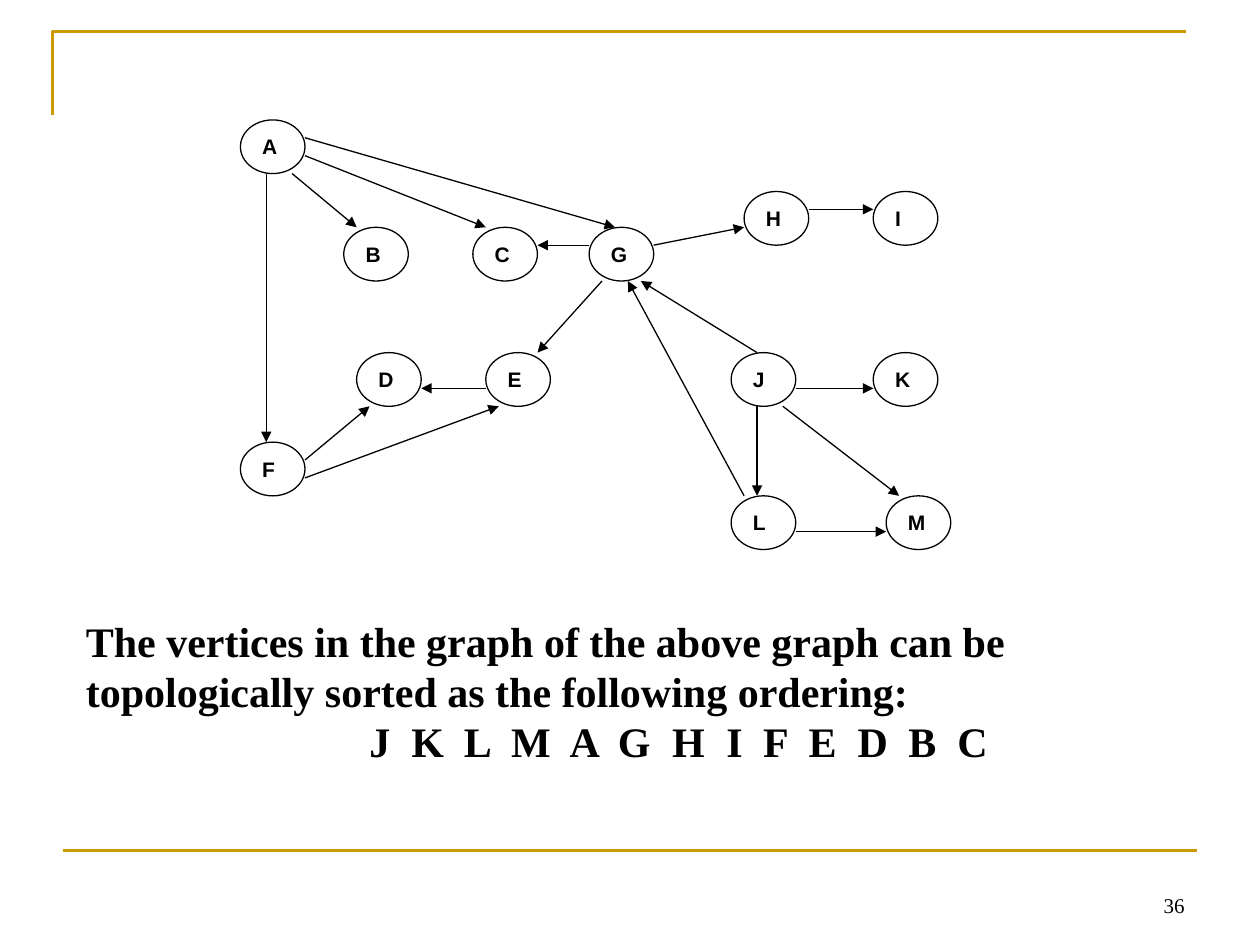
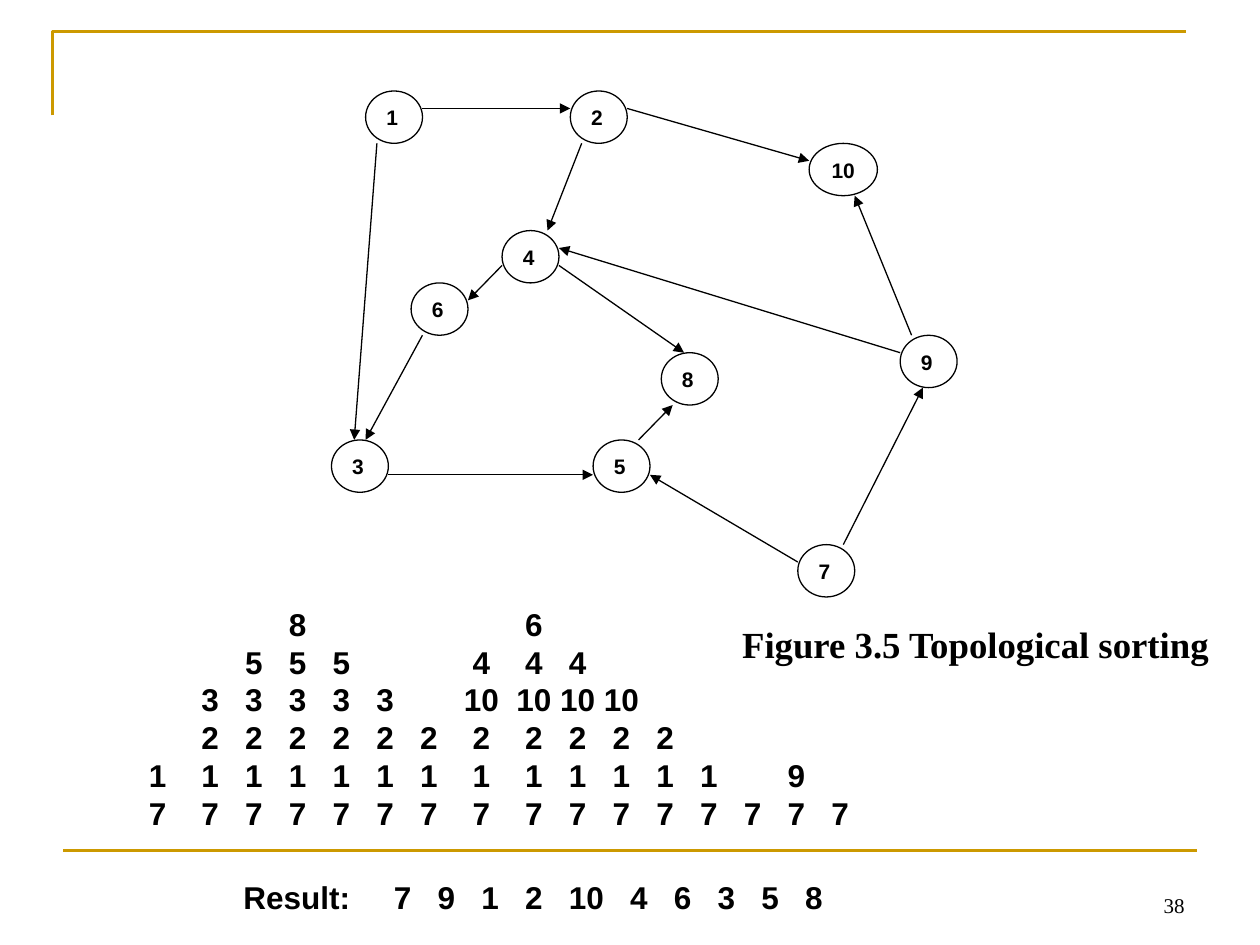
from itertools import zip_longest

from lxml.etree import SubElement
from pptx import Presentation
from pptx.dml.color import RGBColor
from pptx.enum.shapes import MSO_CONNECTOR as CONNECTOR, MSO_SHAPE as SHAPE
from pptx.enum.text import MSO_ANCHOR as ANCHOR, PP_ALIGN as ALIGN
from pptx.oxml.ns import qn
from pptx.util import Pt

BLACK, GOLD = "000000", "CC9900"
SANS, SERIF = "Arial", "Times New Roman"


def paint(target, color, width=None):
    """Colour a font, or a line when a width is given."""
    target.color.rgb = RGBColor.from_string(color)
    if width:
        target.width = Pt(width)


def write(frame, lines, size, name, bold=True, stops=(), stop_align="l"):
    """Fill a text frame, one paragraph a line, with optional tab stops."""
    frame.word_wrap = True
    for number, line in enumerate(lines):
        para = frame.add_paragraph() if number else frame.paragraphs[0]
        para.text = line
        para.alignment = ALIGN.LEFT
        para.font.size, para.font.name, para.font.bold = Pt(size), name, bold
        paint(para.font, BLACK)
        if stops:
            properties = para._p.get_or_add_pPr()
            tabs = SubElement(properties, qn("a:tabLst"))
            properties.insert(0, tabs)
            for stop in stops:
                SubElement(tabs, qn("a:tab"), pos=str(Pt(stop)), algn=stop_align)


# Each graph lies on a grid: origin, cell size, node corners, arrow ends
letter_graph = {
    "origin": (137.4, 68.5), "cell": (7.38, 10.23),
    "nodes": {
        "A": (0, 0), "B": (8, 6), "C": (18, 6), "D": (9, 13), "E": (19, 13),
        "F": (0, 18), "G": (27, 6), "H": (39, 4), "I": (49, 4), "J": (38, 13),
        "K": (49, 13), "L": (38, 21), "M": (50, 21),
    },
    "arrows": [
        (2, 3, 2, 18), (4, 3, 9, 6), (5, 2, 19, 6), (5, 1, 29, 6),       # from A
        (5, 19, 10, 16), (5, 20, 20, 16), (19, 15, 14, 15),              # from F, E
        (28, 9, 23, 13), (27, 7, 23, 7), (32, 7, 39, 6), (44, 5, 49, 5), # from G, H
        (43, 15, 49, 15), (40, 16, 40, 21), (42, 16, 51, 21), (40, 13, 31, 9),
        (39, 21, 30, 9), (43, 23, 50, 23),                               # from L
    ],
}
number_graph = {
    "origin": (189.4, 52), "cell": (6.5, 9.97),
    "nodes": {
        "1": (3, 0), "2": (21, 0), "3": (0, 20), "4": (15, 8), "5": (23, 20),
        "6": (7, 11), "7": (41, 26), "8": (29, 15), "9": (50, 14), "10": (42, 3),
    },
    "arrows": [
        (8, 1, 21, 1), (4, 3, 2, 20), (26, 1, 42, 4), (22, 3, 19, 8),    # from 1, 2
        (15, 10, 12, 12), (20, 10, 31, 15), (8, 14, 3, 20),              # from 4, 6
        (5, 22, 23, 22), (27, 20, 30, 18),                               # from 3, 5
        (41, 27, 28, 22), (45, 26, 52, 17), (50, 15, 20, 9), (51, 14, 46, 6),
    ],
}

deck = Presentation()
deck.slide_width, deck.slide_height = Pt(720), Pt(540)
pages = []

for page_number, graph in (("36", letter_graph), ("38", number_graph)):
    page = deck.slides.add_slide(deck.slide_layouts[6])
    pages.append(page)

    # Gold corner, footer rule and page number
    outline = page.shapes.build_freeform(Pt(30), Pt(66))
    outline.add_line_segments([(Pt(30), Pt(18)), (Pt(678), Pt(18))], close=False)
    corner = outline.convert_to_shape()
    corner.fill.background()
    corner.shadow.inherit = False
    paint(corner.line, GOLD, 1.5)
    rule = page.shapes.add_connector(CONNECTOR.STRAIGHT, Pt(36), Pt(486), Pt(684), Pt(486))
    paint(rule.line, GOLD, 1.5)
    SubElement(rule._element.spPr, qn("a:effectLst"))
    box = page.shapes.add_textbox(Pt(516), Pt(492), Pt(168), Pt(36))
    box.text_frame.vertical_anchor = ANCHOR.BOTTOM
    write(box.text_frame, [page_number], 12, SERIF, bold=False)
    box.text_frame.paragraphs[0].alignment = ALIGN.RIGHT

    # Nodes: five cells wide (six for two digits), three high
    (left, top), (cell_width, cell_height) = graph["origin"], graph["cell"]
    for label, (column, row) in graph["nodes"].items():
        node = page.shapes.add_shape(
            SHAPE.OVAL, Pt(left + column * cell_width), Pt(top + row * cell_height),
            Pt((4 + len(label)) * cell_width), Pt(3 * cell_height))
        node.fill.background()
        node.shadow.inherit = False
        paint(node.line, BLACK, 0.75)
        node.text_frame.vertical_anchor = ANCHOR.TOP
        node.text_frame.margin_right = 0
        write(node.text_frame, [label], 12, SANS)

    # Arrows
    for x1, y1, x2, y2 in graph["arrows"]:
        arrow = page.shapes.add_connector(
            CONNECTOR.STRAIGHT,
            Pt(left + x1 * cell_width), Pt(top + y1 * cell_height),
            Pt(left + x2 * cell_width), Pt(top + y2 * cell_height))
        paint(arrow.line, BLACK, 0.75)
        SubElement(arrow.line._get_or_add_ln(), qn("a:tailEnd"), type="triangle")
        SubElement(arrow._element.spPr, qn("a:effectLst"))

letter_page, number_page = pages

# Ordering of the letter graph
box = letter_page.shapes.add_textbox(Pt(42), Pt(348), Pt(642), Pt(94))
letter_stops = [162, 186, 216, 243, 276.5, 304, 335, 366, 387, 413, 441, 470, 498]
write(box.text_frame, [
    "The vertices in the graph of the above graph can be "
    "topologically sorted as the following ordering:",
    "".join("\t" + letter for letter in "JKLMAGHIFEDBC"),
], 24, SERIF, stops=letter_stops)

# Successive stacks of the number graph, each listed from the bottom up
stacks = [column.split() for column in (
    "7 1", "7 1 2 3", "7 1 2 3 5", "7 1 2 3 5 8", "7 1 2 3 5", "7 1 2 3",
    "7 1 2", "7 1 2 10 4", "7 1 2 10 4 6", "7 1 2 10 4", "7 1 2 10",
    "7 1 2", "7 1", "7", "7 9", "7")]
levels = list(zip_longest(*stacks, fillvalue=""))
stack_lines = ["".join("\t" + item for item in level).rstrip() for level in reversed(levels)]
stack_stops = ([5] + [35 + 25 * i for i in range(6)] + [190]
               + [220 + 25 * i for i in range(8)])
box = number_page.shapes.add_textbox(Pt(78), Pt(342), Pt(522), Pt(137))
write(box.text_frame, stack_lines, 18, SANS, stops=stack_stops, stop_align="ctr")

# Caption and result
box = number_page.shapes.add_textbox(Pt(417), Pt(352), Pt(282), Pt(58))
write(box.text_frame, ["Figure 3.5 Topological sorting"], 21, SERIF)
box = number_page.shapes.add_textbox(Pt(132), Pt(498), Pt(468), Pt(29))
result_stops = [86 + 25 * i for i in range(5)] + [221 + 25 * i for i in range(5)]
write(box.text_frame, ["\t".join(["Result:", *"7 9 1 2 10 4 6 3 5 8".split()])],
      18, SANS, stops=result_stops)

deck.save("out.pptx")
